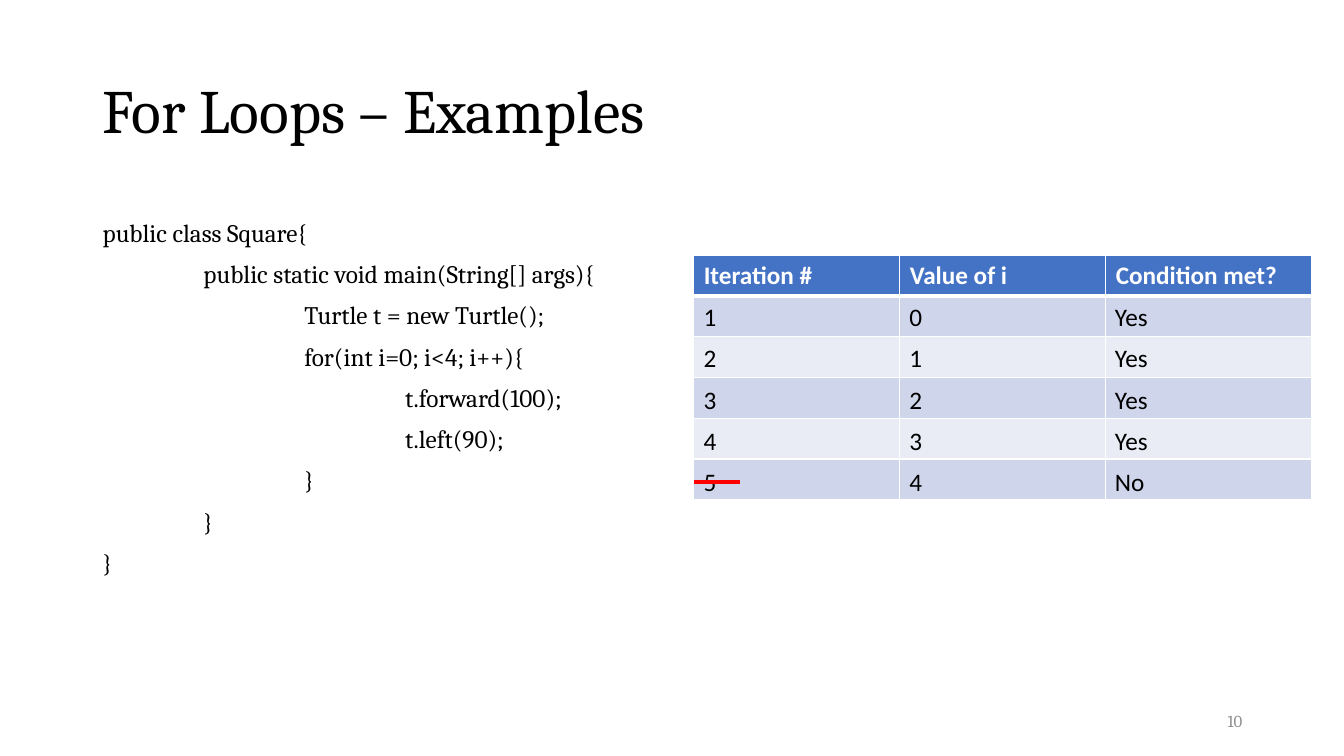
from lxml import etree
from pptx import Presentation, util as u
from pptx.dml.color import RGBColor
from pptx.enum import shapes, text
from pptx.oxml import ns

BLACK = RGBColor(0x00, 0x00, 0x00)
WHITE = RGBColor(0xFF, 0xFF, 0xFF)
GRAY = RGBColor(0x8C, 0x8C, 0x8C)
RED = RGBColor(0xFF, 0x00, 0x00)
HEADER_BLUE = RGBColor(0x44, 0x72, 0xC4)
BANDS = (RGBColor(0xE9, 0xEB, 0xF5), RGBColor(0xCF, 0xD5, 0xEA))

PX = 9144
SERIF = "Cambria"
SANS = "Calibri"

CODE = (
    (0, "public class Square{"),
    (1, "public static void main(String[] args){"),
    (2, "Turtle t = new Turtle();"),
    (2, "for(int i=0; i<4; i++){"),
    (3, "t.forward(100);"),
    (3, "t.left(90);"),
    (2, "}"),
    (1, "}"),
    (0, "}"),
)
HEADERS = ("Iteration #", "Value of i", "Condition met?")
TRACE = (
    ("1", "0", "Yes"),
    ("2", "1", "Yes"),
    ("3", "2", "Yes"),
    ("4", "3", "Yes"),
    ("5", "4", "No"),
)
TABLE_LEFT, TABLE_TOP, TABLE_WIDTH, TABLE_HEIGHT = 688, 253, 613, 243
ROW_STEP = 41
ANSWER_WIDTHS = (45, 45, 64)


class SlideBuilder:
    """Draws styled elements on one slide, with lengths in px."""

    def __init__(self, slide):
        self.slide = slide

    def style(self, paragraph, font, size, color, bold=False):
        for run in paragraph.runs:
            run.font.name = font
            run.font.size = u.Pt(size)
            run.font.color.rgb = color
            run.font.bold = bold

    def text(self, left, top, width, height, content, font, size, color=BLACK,
             anchor=text.MSO_ANCHOR.TOP, align=text.PP_ALIGN.LEFT, spacing=1.0):
        box = self.slide.shapes.add_textbox(*(n * PX for n in (left, top, width, height)))
        frame = box.text_frame
        frame.word_wrap = True
        frame.vertical_anchor = anchor
        frame.text = content
        for paragraph in frame.paragraphs:
            paragraph.alignment = align
            paragraph.line_spacing = spacing
            self.style(paragraph, font, size, color)
        return frame

    def code(self, left, top, width, height, lines, indent):
        content = "\n".join(line for _, line in lines)
        frame = self.text(left, top, width, height, content, SERIF, 18, spacing=0.9)
        for paragraph, (depth, _) in zip(frame.paragraphs, lines):
            paragraph.space_before = u.Pt(10)
            paragraph._p.get_or_add_pPr().set("marL", str(depth * indent * PX))

    def borders(self, cell, top=0.96, bottom=0.96):
        properties = cell._tc.get_or_add_tcPr()
        for side, points in (("L", 0.96), ("R", 0.96), ("T", top), ("B", bottom)):
            line = etree.SubElement(properties, ns.qn(f"a:ln{side}"), w=str(u.Pt(points)))
            fill = etree.SubElement(line, ns.qn("a:solidFill"))
            etree.SubElement(fill, ns.qn("a:srgbClr"), val=str(WHITE))

    def table(self, left, top, width, height, headers, body_rows):
        frame = self.slide.shapes.add_table(
            body_rows + 1, len(headers), *(n * PX for n in (left, top, width, height)))
        for index, row in enumerate(frame.table.rows):
            for header, cell in zip(headers, row.cells):
                self.borders(cell, top=3 if index == 1 else 0.96,
                             bottom=3 if index == 0 else 0.96)
                cell.fill.solid()
                cell.fill.fore_color.rgb = BANDS[index % 2] if index else HEADER_BLUE
                if index == 0:
                    cell.text_frame.text = header
                    self.style(cell.text_frame.paragraphs[0], SANS, 18, WHITE, bold=True)

    def line(self, left, top, right, bottom, color, points):
        connector = self.slide.shapes.add_connector(
            shapes.MSO_CONNECTOR.STRAIGHT, *(n * PX for n in (left, top, right, bottom)))
        connector.line.color.rgb = color
        connector.line.width = u.Pt(points)
        etree.SubElement(connector._element.spPr, ns.qn("a:effectLst"))


def main():
    presentation = Presentation()
    presentation.slide_width = 1333 * PX
    presentation.slide_height = 750 * PX
    builder = SlideBuilder(presentation.slides.add_slide(presentation.slide_layouts[6]))

    builder.text(92, 40, 1150, 145, "For Loops – Examples", SERIF, 44,
                 anchor=text.MSO_ANCHOR.MIDDLE, spacing=0.9)
    builder.code(92, 214, 1150, 476, CODE, indent=100)

    builder.table(TABLE_LEFT, TABLE_TOP, TABLE_WIDTH, TABLE_HEIGHT, HEADERS, len(TRACE))
    for column, answers in enumerate(zip(*TRACE)):
        left = TABLE_LEFT + TABLE_WIDTH * column // len(HEADERS)
        for row, answer in enumerate(answers, start=1):
            builder.text(left, TABLE_TOP + ROW_STEP * row, ANSWER_WIDTHS[column], 40,
                         answer, SANS, 18)
    builder.line(TABLE_LEFT, 478, 734, 478, RED, 3.25)

    builder.text(942, 695, 300, 40, "10", SERIF, 12, GRAY,
                 anchor=text.MSO_ANCHOR.MIDDLE, align=text.PP_ALIGN.RIGHT)
    presentation.save("out.pptx")


if __name__ == "__main__":
    main()
